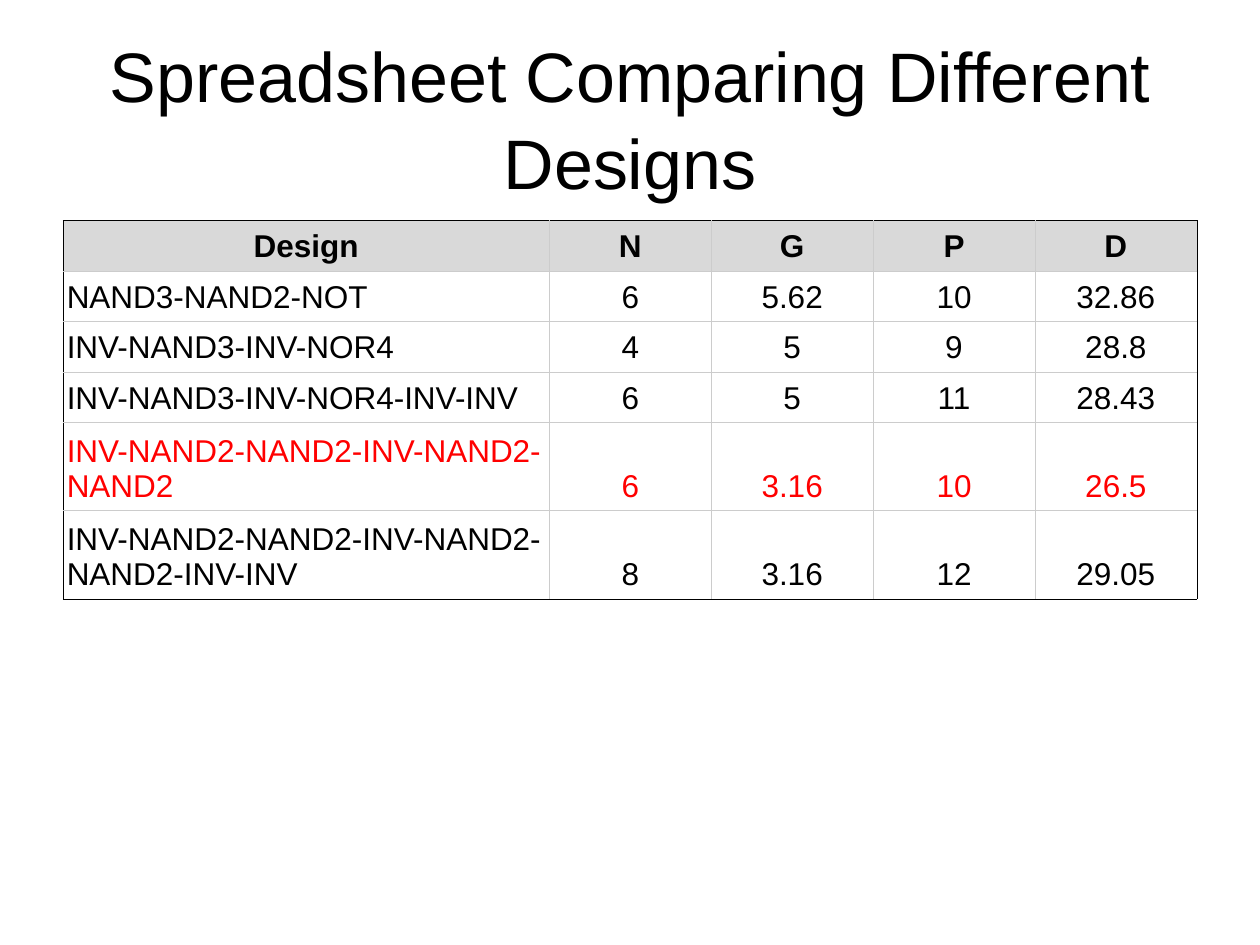
from pptx import Presentation
from pptx.dml.color import RGBColor
from pptx.enum.text import MSO_ANCHOR, PP_ALIGN
from pptx.oxml.ns import qn
from pptx.util import Inches, Pt
from lxml import etree

MIDDLE, BOTTOM = MSO_ANCHOR.MIDDLE, MSO_ANCHOR.BOTTOM
LEFT, CENTER = PP_ALIGN.LEFT, PP_ALIGN.CENTER

COLORS = {"text": "000000", "best": "FF0000", "header": "D9D9D9",
          "grid": "CCCCCC", "frame": "000000"}
CELL_FORMAT = {"vertical_anchor": BOTTOM,
               "margin_left": Inches(0.03), "margin_right": Inches(0.03),
               "margin_top": Inches(0.05), "margin_bottom": Inches(0.05)}


def write(paragraph, text, align, size, color, bold=False):
    paragraph.alignment = align
    run = paragraph.add_run()
    run.text = text
    font_format = {"name": "Arial", "size": Pt(size), "bold": bold}
    for attribute, value in font_format.items():
        setattr(run.font, attribute, value)
    run.font.color.rgb = RGBColor.from_string(COLORS[color])


def add_border(cell, side, color):
    line = etree.SubElement(cell._tc.get_or_add_tcPr(), qn(f"a:ln{side}"),
                            w=str(Pt(0.34)))
    fill = etree.SubElement(line, qn("a:solidFill"))
    etree.SubElement(fill, qn("a:srgbClr"), val=COLORS[color])


prs = Presentation()
prs.slide_width, prs.slide_height = Inches(10), Inches(7.5)
slide = prs.slides.add_slide(prs.slide_layouts[6])

# Title
title = slide.shapes.add_textbox(Inches(0.5), Inches(0.3), Inches(9), Inches(1.25))
title_frame = title.text_frame
title_frame.word_wrap = True
title_frame.vertical_anchor = MIDDLE
title_frame.paragraphs[0].line_spacing = 1.04
write(title_frame.paragraphs[0], "Spreadsheet Comparing Different Designs",
      CENTER, 40, "text")

# Comparison of the designs
designs = [
    ("Design", "N", "G", "P", "D"),
    ("NAND3-NAND2-NOT", "6", "5.62", "10", "32.86"),
    ("INV-NAND3-INV-NOR4", "4", "5", "9", "28.8"),
    ("INV-NAND3-INV-NOR4-INV-INV", "6", "5", "11", "28.43"),
    ("INV-NAND2-NAND2-INV-NAND2-NAND2", "6", "3.16", "10", "26.5"),
    ("INV-NAND2-NAND2-INV-NAND2-NAND2-INV-INV", "8", "3.16", "12", "29.05"),
]
BEST_ROW = 4
column_widths = [3.86] + [1.285] * 4
row_heights = [0.34] * 4 + [0.64] * 2
last_row, last_column = len(designs) - 1, len(column_widths) - 1

comparison = slide.shapes.add_table(
    len(designs), len(column_widths), Inches(0.5), Inches(1.75),
    Inches(9), Inches(sum(row_heights))).table
comparison.horz_banding = False
for column, width in zip(comparison.columns, column_widths):
    column.width = Inches(width)
for row, height in zip(comparison.rows, row_heights):
    row.height = Inches(height)

for r, design in enumerate(designs):
    for c, text in enumerate(design):
        cell = comparison.cell(r, c)
        for attribute, value in CELL_FORMAT.items():
            setattr(cell, attribute, value)
        write(cell.text_frame.paragraphs[0], text,
              LEFT if c == 0 and r > 0 else CENTER, 18,
              "best" if r == BEST_ROW else "text", bold=r == 0)

        # Dark frame around the table, light grid inside; borders precede the fill
        on_frame = {"L": c == 0, "R": c == last_column,
                    "T": r == 0, "B": r == last_row}
        for side, is_outer in on_frame.items():
            add_border(cell, side, "frame" if is_outer else "grid")
        if r == 0:
            cell.fill.solid()
            cell.fill.fore_color.rgb = RGBColor.from_string(COLORS["header"])
        else:
            cell.fill.background()

prs.save("out.pptx")
